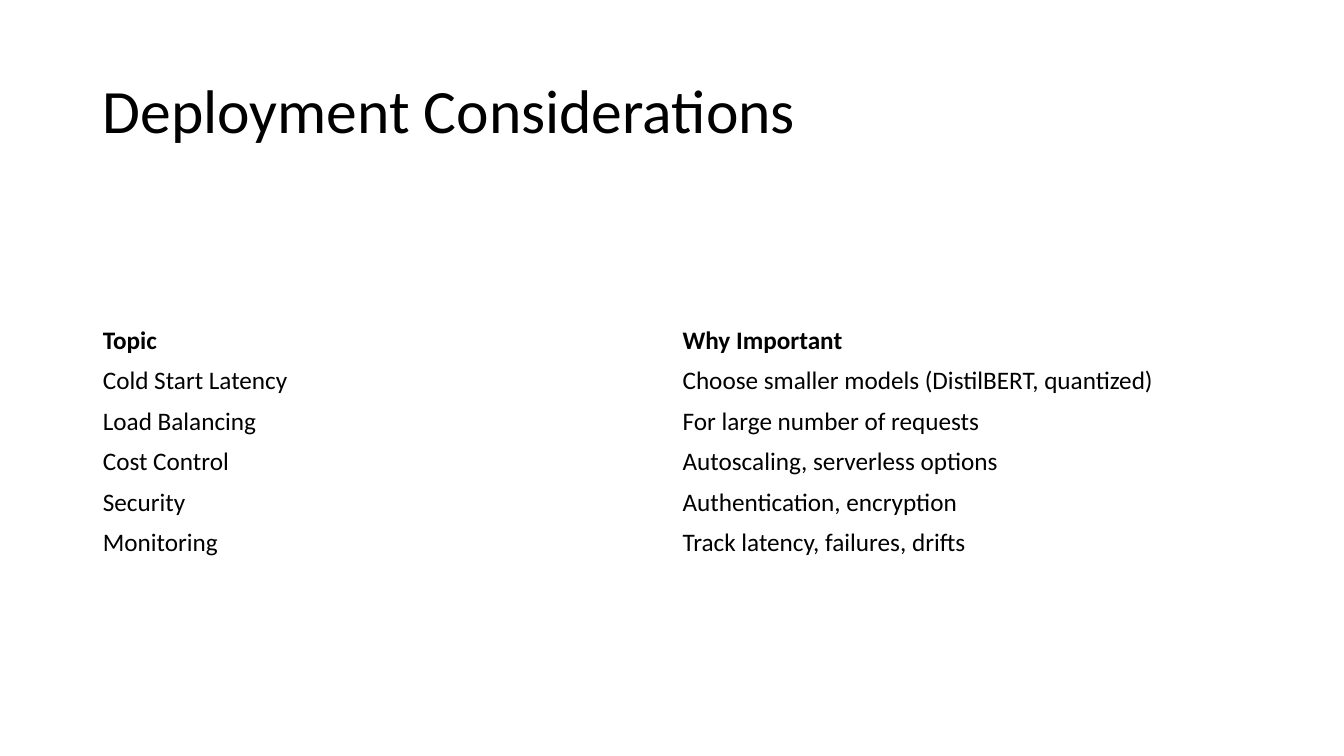
from dataclasses import dataclass

from pptx import Presentation
from pptx.dml.color import RGBColor as Color
from pptx.enum.text import MSO_ANCHOR as Anchor
from pptx.util import Inches, Pt


@dataclass(frozen=True)
class Theme:
    font: str = "Calibri"
    ink: Color = Color(0, 0, 0)
    paper: Color = Color(255, 255, 255)
    title: int = 44
    body: int = 18


THEME = Theme()
TITLE = "Deployment Considerations"
TOPICS = [
    ("Topic", "Why Important"),
    ("Cold Start Latency", "Choose smaller models (DistilBERT, quantized)"),
    ("Load Balancing", "For large number of requests"),
    ("Cost Control", "Autoscaling, serverless options"),
    ("Security", "Authentication, encryption"),
    ("Monitoring", "Track latency, failures, drifts"),
]


def style(para, size, bold=False):
    for run in para.runs:
        font = run.font
        font.name = THEME.font
        font.size = Pt(size)
        font.bold = bold
        font.color.rgb = THEME.ink


def add_title(slide, text, left, top, width, height):
    box = slide.shapes.add_textbox(
        Inches(left), Inches(top), Inches(width), Inches(height))
    frame = box.text_frame
    frame.word_wrap = True
    frame.vertical_anchor = Anchor.MIDDLE
    frame.text = text
    para = frame.paragraphs[0]
    para.line_spacing = 0.9
    style(para, THEME.title)


def add_topics(slide, rows, left, top, width, height):
    table = slide.shapes.add_table(
        len(rows), len(rows[0]), Inches(left), Inches(top),
        Inches(width), Inches(height)).table
    table.first_row = False
    table.horz_banding = False
    for r, row in enumerate(rows):
        for c, text in enumerate(row):
            cell = table.cell(r, c)
            cell.fill.background()
            cell.vertical_anchor = Anchor.MIDDLE
            cell.text_frame.text = text
            style(cell.text_frame.paragraphs[0], THEME.body, bold=r == 0)


def main():
    deck = Presentation()
    deck.slide_width = Inches(13.33)
    deck.slide_height = Inches(7.5)
    slide = deck.slides.add_slide(deck.slide_layouts[6])
    fill = slide.background.fill
    fill.solid()
    fill.fore_color.rgb = THEME.paper
    left, width = 0.92, 11.5
    add_title(slide, TITLE, left, 0.4, width, 1.45)
    add_topics(slide, TOPICS, left, 3.18, width, 2.4)
    deck.save("out.pptx")


if __name__ == "__main__":
    main()
